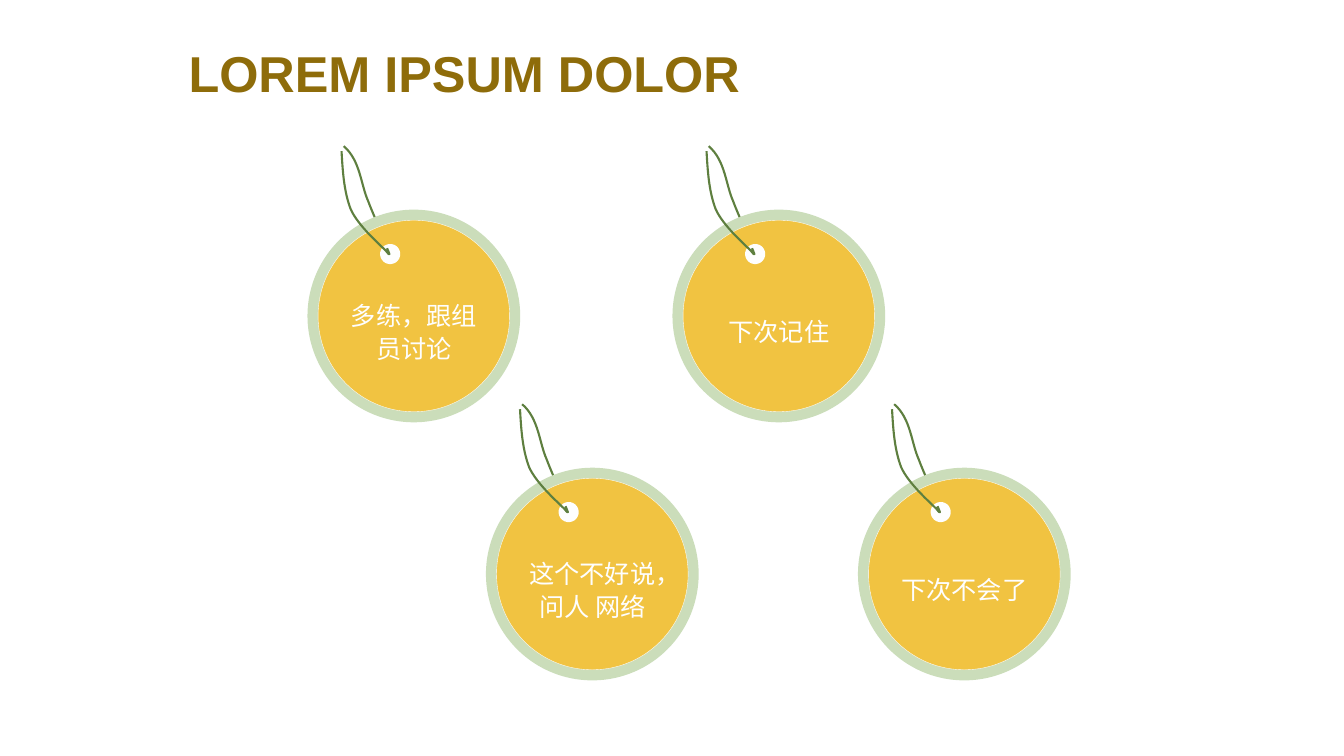
from dataclasses import dataclass
from lxml import etree
from pptx import Presentation
from pptx.dml.color import RGBColor
from pptx.enum.shapes import MSO_SHAPE
from pptx.enum.text import MSO_ANCHOR, MSO_AUTO_SIZE, PP_ALIGN
from pptx.oxml.ns import qn
from pptx.util import Inches, Pt

OVAL = MSO_SHAPE.OVAL
MIDDLE, BOTTOM = MSO_ANCHOR.MIDDLE, MSO_ANCHOR.BOTTOM
LEFT, CENTER = PP_ALIGN.LEFT, PP_ALIGN.CENTER
NO_FIT = MSO_AUTO_SIZE.NONE


@dataclass(frozen=True)
class Theme:
    font: str = "Arial"
    title: RGBColor = RGBColor.from_string("8E6C0A")
    string: RGBColor = RGBColor.from_string("5E7F3F")
    ring: RGBColor = RGBColor.from_string("CBDDBA")
    disc: RGBColor = RGBColor.from_string("F1C341")
    light: RGBColor = RGBColor.from_string("FEFEFE")
    title_size: Pt = Pt(36)
    label_size: Pt = Pt(18)
    string_width: Pt = Pt(1.5)
    rim_width: Pt = Pt(0.25)


@dataclass(frozen=True)
class TagString:
    """Place within a tag, size, rotation, and cubic curve knots inside the box."""
    left: float
    top: float
    width: float
    height: float
    tilt: float
    knots: tuple


THEME = Theme()

# Tag geometry in inches, measured from the ring's top left corner
TILT = 339.2
RING, DISC, HOLE = 2.11, 1.9, 0.2
INSET = (RING - DISC) / 2
HOLE_LEFT, HOLE_TOP = 0.72, 0.34
BACK_STRING = TagString(0.44, -0.66, 0.25, 1.06, 326.4, (
    (0.23, 0), (0.29, 0.21), (0.16, 0.41), (0.13, 0.59),
    (0.09, 0.76), (0.08, 0.92), (0, 1.06)))
FRONT_STRING = TagString(0.42, -0.61, 0.2, 1.13, TILT, (
    (0.12, 0), (0.06, 0.19), (0, 0.38), (0, 0.57),
    (0.01, 0.75), (0.15, 1.01), (0.18, 1.08),
    (0.21, 1.17), (0.2, 1.11), (0.2, 1.06)))

# Each row of tags: top of its rings, then left and label of each tag
TAG_ROWS = [
    (2.08, [(3.05, "多练，跟组员讨论"), (6.67, "下次记住")]),
    (4.64, [(4.82, "这个不好说，问人 网络"), (8.51, "下次不会了")]),
]


def add_string(tag, left, top, string):
    """Span the box with a freeform, then give its outline cubic curves."""
    x, y = left + string.left, top + string.top
    builder = tag.shapes.build_freeform(Inches(x), Inches(y))
    builder.add_line_segments([(Inches(x + string.width), Inches(y + string.height))], close=False)
    shape = builder.convert_to_shape()
    outline = shape.element.xpath(".//a:path")[0]
    for command in list(outline):
        outline.remove(command)
    for index, (knot_x, knot_y) in enumerate(string.knots):
        if index == 0:
            command = etree.SubElement(outline, qn("a:moveTo"))
        elif index % 3 == 1:
            command = etree.SubElement(outline, qn("a:cubicBezTo"))
        etree.SubElement(command, qn("a:pt"), x=str(Inches(knot_x)), y=str(Inches(knot_y)))
    shape.rotation = string.tilt
    shape.shadow.inherit = False
    shape.fill.background()
    shape.line.color.rgb = THEME.string
    shape.line.width = THEME.string_width


def add_circle(tag, left, top, size, color):
    circle = tag.shapes.add_shape(OVAL, Inches(left), Inches(top), Inches(size), Inches(size))
    circle.shadow.inherit = False
    circle.fill.solid()
    circle.fill.fore_color.rgb = color
    circle.line.fill.background()
    return circle


deck = Presentation()
deck.slide_width, deck.slide_height = Inches(13.33), Inches(7.5)
page = deck.slides.add_slide(deck.slide_layouts[5])

title = page.shapes.title
title.left, title.top = Inches(1.77), Inches(0.2)
title.width, title.height = Inches(9.79), Inches(0.88)
frame = title.text_frame
frame.text = "LOREM IPSUM DOLOR"
frame.auto_size = NO_FIT
frame.vertical_anchor = BOTTOM
para = frame.paragraphs[0]
para.alignment = LEFT
para.line_spacing = 0.9
span = para.runs[0]
span.font.name, span.font.size, span.font.bold = THEME.font, THEME.title_size, True
span.font.color.rgb = THEME.title

for top, tags in TAG_ROWS:
    for left, label in tags:
        tag = page.shapes.add_group_shape()
        add_string(tag, left, top, BACK_STRING)
        add_circle(tag, left, top, RING, THEME.ring).rotation = TILT

        disc = add_circle(tag, left + INSET, top + INSET, DISC, THEME.disc)
        disc.line.color.rgb = THEME.light
        disc.line.width = THEME.rim_width
        frame = disc.text_frame
        frame.text = label
        frame.word_wrap = True
        frame.vertical_anchor = MIDDLE
        frame.margin_left = frame.margin_right = frame.margin_bottom = 0
        frame.margin_top = Inches(0.28)
        para = frame.paragraphs[0]
        para.alignment = CENTER
        para.line_spacing = 1.1
        span = para.runs[0]
        span.font.name, span.font.size = THEME.font, THEME.label_size
        span.font.color.rgb = THEME.light

        hole = add_circle(tag, left + HOLE_LEFT, top + HOLE_TOP, HOLE, THEME.light)
        hole.rotation = TILT
        add_string(tag, left, top, FRONT_STRING)

deck.save("out.pptx")
